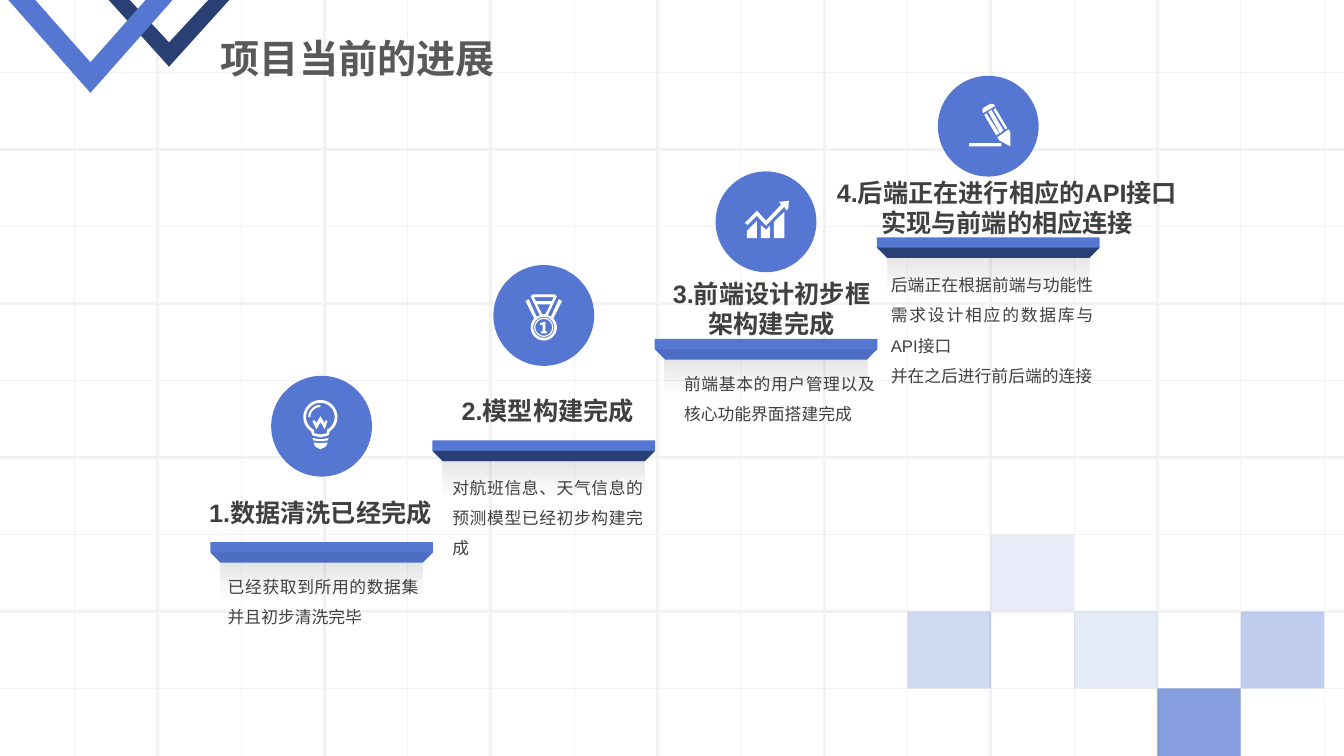
import math
from dataclasses import dataclass

import pptx
import pptx.dml.color
import pptx.enum.shapes
import pptx.enum.text
import pptx.oxml
import pptx.oxml.ns
import pptx.util

Cm, Pt = pptx.util.Cm, pptx.util.Pt
Kind = pptx.enum.shapes.MSO_SHAPE
Align = pptx.enum.text.PP_ALIGN


@dataclass(frozen=True)
class Theme:
    font: str = "Arial"
    blue: str = "5577D1"
    navy: str = "2A3F74"
    white: str = "FFFFFF"
    black: str = "000000"
    grid: str = "F2F2F2"
    title: str = "595959"
    text: str = "404040"
    big: int = 28
    head: int = 18
    body: int = 12


def arc(x, y, r, start, end, count=32):
    """Points along an arc, angles in degrees, clockwise from the right."""
    turns = [math.radians(start + (end - start) * i / count) for i in range(count + 1)]
    return [(x + r * math.cos(t), y + r * math.sin(t)) for t in turns]


def mirror(half):
    return half + [(-x, y) for x, y in reversed(half)]


theme = Theme()
WIDE, HIGH = 33.87, 19.05
TITLE = "项目当前的进展"

# Icon outlines: millimetres from the centre of the disc
BULB = [
    arc(-0.3, -2.3, 4.3, 123, 417) + [(1.8, 2.3), (-0.3, 2.8), (-2.3, 2.3)],
    arc(-0.3, -2.3, 3.6, 117, 423) + [(1.3, 1.8), (-0.3, 2.1), (-1.8, 1.8)],
    arc(-0.3, -2.3, 3.05, 180, 270) + arc(-0.3, -2.3, 2.5, 270, 180),
    [(0.8, -0.8), (-0.3, -2.5), (-1.3, -0.8), (-1.8, -1.5), (-2.3, -1.3),
     (-1.3, 0.8), (-0.3, -1), (0.8, 0.8), (1.5, -1.3), (1, -1.5)],
    [(-2.3, 3), (-2, 3.6), (-0.3, 3.8), (1.5, 3.6), (1.8, 3), (-0.3, 3.3)],
    [(-2, 4.1), (-1.8, 4.8), (-1.3, 5.3), (-0.3, 5.8), (0.8, 5.3),
     (1.3, 4.8), (1.5, 4.1), (-0.3, 4.3)],
]
MEDAL = [
    mirror([(2.4, 0.8), (4.6, -3.6), (3.8, -4.1), (1.8, 0.3), (1, 0),
            (3.3, -4.8), (2.8, -5.3)]) + arc(0, 3, 3.3, 221, -41),
    mirror([(2.5, -4.6), (2, -3.6)]),
    mirror([(1.7, -2.8), (0.4, -0.3)]),
    *[arc(0, 3, r, 0, 360) for r in (2.65, 2.4, 2.1)],
    [(0.4, 1.6), (0, 1.6), (-0.9, 2), (-0.9, 2.4), (-0.3, 2.4), (-0.3, 4),
     (-0.7, 4), (-0.7, 4.5), (0.8, 4.5), (0.8, 4), (0.4, 4)],
]
GRAPH = [
    [(-4.8, 4.1), (-2.3, 4.1), (-2.3, -0.3), (-4.8, 2.3)],
    [(-1.3, 0.8), (-1.3, 4.1), (1, 4.1), (1, 1), (0, 2)],
    [(2, 0), (2, 4.1), (4.6, 4.1), (4.6, -2.5)],
    [(3.3, -5), (3.8, -4.3), (0, -0.3), (-2.3, -2.8), (-5.3, 0.3), (-4.6, 0.8),
     (-2.3, -1.5), (0, 1), (4.6, -3.8), (5.1, -2.8), (5.6, -3.3), (5.8, -5.3)],
]
PENCIL = [
    [(2.3, 2.8), (2.8, 3.6), (5.6, 5.1), (5.6, 1.5), (5.1, 0.8)],
    [(4.3, 0.8), (4.8, 0.5), (1.8, -4.6), (1.3, -4.1)],
    [(3.8, 1), (0.8, -4.1), (0, -3.6), (3, 1.8)],
    [(-1, -2.8), (2, 2.3), (2.8, 1.8), (-0.5, -3.3)],
    [(-1.3, -3.3), (1.8, -5.1), (1.3, -5.6), (0.5, -5.6), (-1.3, -4.6), (-1.5, -3.8)],
    [(-4.8, 4.3), (3.3, 4.3), (3.3, 5.1), (-4.8, 5.1)],
]

# icon, disc top, lip opacity, head, head box, body lines, body box
STEPS = [
    (BULB, 9.47, 15, "1.数据清洗已经完成", (4.9, 12.4, 6.35, 1.02),
     ["已经获取到所用的数据集并且初步清洗完毕"], (5.49, 14.15, 5.31, 1.7)),
    (MEDAL, 6.68, 100, "2.模型构建完成", (11.15, 9.83, 5.31, 1.02),
     ["对航班信息、天气信息的预测模型已经初步构建完成"], (11.15, 11.66, 5.31, 2.46)),
    (GRAPH, 4.32, 15, "3.前端设计初步框架构建完成", (16.69, 6.88, 5.51, 1.8),
     ["前端基本的用户管理以及核心功能界面搭建完成"], (16.99, 9.04, 5.31, 1.7)),
    (PENCIL, 1.91, 100, "4.后端正在进行相应的API接口实现与前端的相应连接", (20.6, 4.34, 9.56, 1.8),
     ["后端正在根据前端与功能性需求设计相应的数据库与API接口", "并在之后进行前后端的连接"],
     (22.2, 6.55, 5.61, 3.25)),
]
# column, row, opacity
TILES = [(10, 7, 28), (11, 6, 13), (12, 7, 15), (13, 8, 71), (14, 7, 37)]
# centre, half width, arm, inner depth, depth, colour
CHEVRONS = [(4.26, 1.52, 0.53, 1.07, 1.68, theme.navy),
            (2.28, 2.07, 0.68, 1.57, 2.34, theme.blue)]

deck = pptx.Presentation()
deck.slide_width, deck.slide_height = Cm(WIDE), Cm(HIGH)
slide = deck.slides.add_slide(deck.slide_layouts[5])
shapes = slide.shapes


def rgb(code):
    return pptx.dml.color.RGBColor.from_string(code)


def fade(shape, *levels):
    """Set the opacity, in percent, of each colour in the shape's fill."""
    tag = pptx.oxml.ns.qn("a:srgbClr")
    for color, level in zip(list(shape.element.spPr.iter(tag)), levels):
        alpha = color.makeelement(pptx.oxml.ns.qn("a:alpha"), {"val": str(level * 1000)})
        color.append(alpha)


def paint(shape, color, level=100):
    shape.shadow.inherit = False
    shape.line.fill.background()
    shape.fill.solid()
    shape.fill.fore_color.rgb = rgb(color)
    if level < 100:
        fade(shape, level)


def block(kind, box, color, level=100):
    shape = shapes.add_shape(kind, *map(Cm, box))
    paint(shape, color, level)
    return shape


def outline(rings, x, y, color, level=100, unit=1.0):
    """Draw closed rings as one shape; unit is the length of 1 in cm."""
    rings = [[(Cm(x + a * unit), Cm(y + b * unit)) for a, b in ring] for ring in rings]
    pen = shapes.build_freeform(*rings[0][0])
    for i, ring in enumerate(rings):
        if i:
            pen.move_to(*ring[0])
        pen.add_line_segments(ring[1:], close=True)
    paint(pen.convert_to_shape(), color, level)


def rule(x1, y1, x2, y2, width):
    line = shapes.add_connector(pptx.enum.shapes.MSO_CONNECTOR.STRAIGHT,
                                *map(Cm, (x1, y1, x2, y2)))
    line.line.color.rgb = rgb(theme.grid)
    line.line.width = Pt(width)
    props = line.element.spPr
    props.append(props.makeelement(pptx.oxml.ns.qn("a:effectLst"), {}))


def write(shape, lines, size, color, bold, align, space=1.0):
    frame = shape.text_frame
    frame.word_wrap = True
    frame.vertical_anchor = pptx.enum.text.MSO_ANCHOR.TOP
    frame.auto_size = pptx.enum.text.MSO_AUTO_SIZE.SHAPE_TO_FIT_TEXT
    for i, line in enumerate(lines):
        para = frame.add_paragraph() if i else frame.paragraphs[0]
        para.alignment, para.line_spacing = align, space
        run = para.add_run()
        run.text = line
        run.font.name, run.font.size, run.font.bold = theme.font, Pt(size), bold
        run.font.color.rgb = rgb(color)


# Grid and tiles
rows = [1.83 + 1.94 * i for i in range(9)]
cols = [1.87 + 2.1 * i for i in range(16)]
for i, y in enumerate(rows):
    rule(0, y, WIDE, y, 2 if i % 2 else 0.5)
for i, x in enumerate(cols):
    rule(x, 0, x, HIGH, 2 if i % 2 and i < 15 else 0.5)
for col, row, level in TILES:
    high = min(1.94, HIGH - rows[row])
    block(Kind.RECTANGLE, (cols[col], rows[row], 2.1, high), theme.blue, level)

# Stairs
SPAN, LIP, DISC = 5.61, 0.26, 2.54
for i, (icon, top, level, *_) in enumerate(STEPS):
    x, y = 5.3 + 5.6 * i, 13.66 - 2.56 * i
    left = x + (SPAN - DISC) / 2
    block(Kind.OVAL, (left, top, DISC, DISC), theme.blue)
    outline(icon, left + DISC / 2, top + DISC / 2, theme.white, unit=0.1)

    shade = block(Kind.RECTANGLE, (x + LIP, y + 2 * LIP, SPAN - 2 * LIP, 1.8), theme.black)
    shade.fill.gradient()
    shade.fill.gradient_angle = 270
    for stop, place in zip(shade.fill.gradient_stops, (0, 0.5)):
        stop.color.rgb, stop.position = rgb(theme.black), place
    fade(shade, 10, 0)

    under = [(SPAN, LIP), (SPAN - LIP, 2 * LIP), (LIP, 2 * LIP), (0, LIP)]
    outline([[(0, 0), (SPAN, 0)] + under], x, y, theme.blue)
    outline([under], x, y, theme.navy, level)

for _, _, _, head, spot, body, area in STEPS:
    write(shapes.add_textbox(*map(Cm, area)), body, theme.body, theme.text,
          False, Align.JUSTIFY, 1.5)
    write(shapes.add_textbox(*map(Cm, spot)), [head], theme.head, theme.text,
          True, Align.CENTER)

# Title
for x, half, arm, inner, depth, color in CHEVRONS:
    outline([[(-half, 0), (arm - half, 0), (0, inner), (half - arm, 0), (half, 0),
              (0, depth)]], x, 0, color)
title = shapes.title
title.left, title.top, title.width, title.height = map(Cm, (5.31, 0.74, 11.63, 1.45))
write(title, [TITLE], theme.big, theme.title, True, Align.LEFT)
title.element.getparent().append(title.element)

deck.save("out.pptx")
